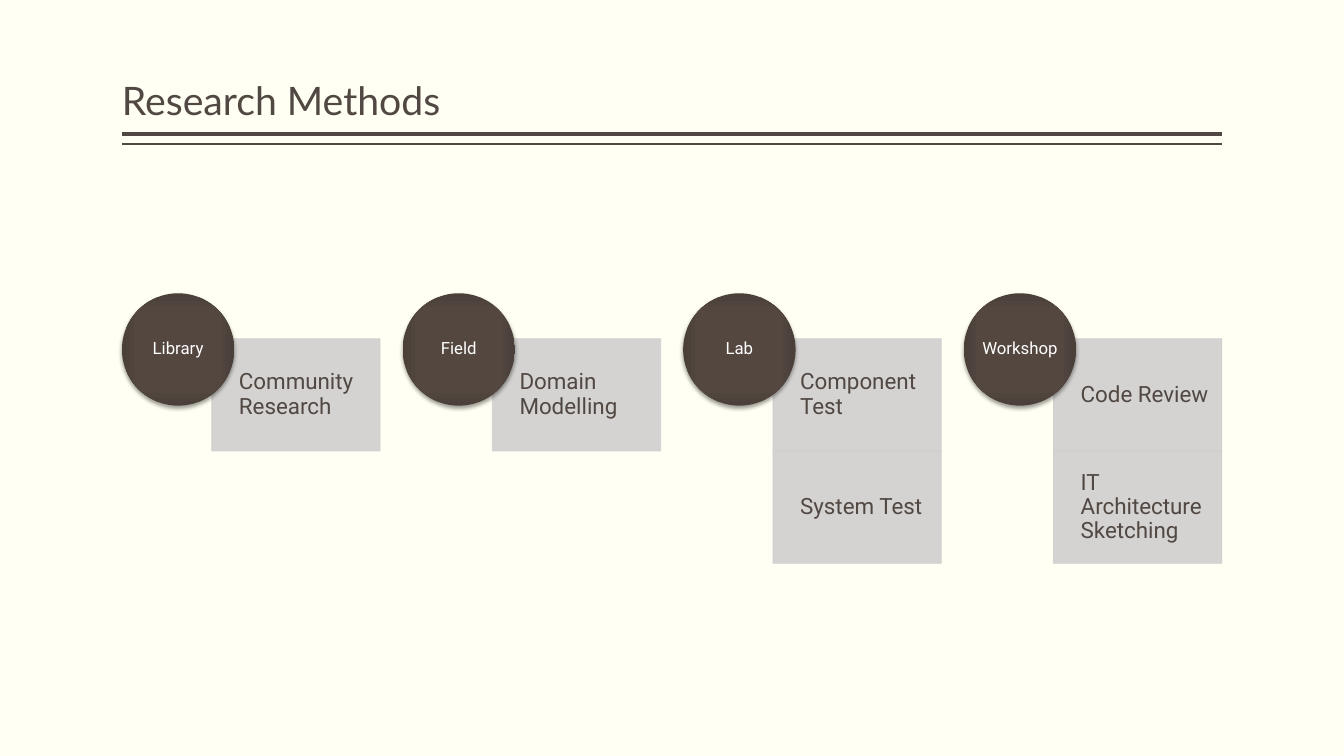
from lxml import etree
from pptx import Presentation
from pptx import util as u
from pptx.dml import color
from pptx.enum import shapes, text
from pptx.oxml import ns, parse_xml

WIDTH, HEIGHT = 13.33, 7.5
MARGIN = 1.21
COLUMN_STEP = 2.783
CIRCLE_TOP = 2.91
CELL = 1.115
BOX_LEFT, BOX_TOP, BOX_WIDTH = 0.89, 3.36, 1.67
INK, PAPER, GREY, WHITE = "514843", "FFFFF3", "D0CFCF", "FFFFFF"

METHODS = [
    ("Library", ["Community Research"]),
    ("Field", ["Domain Modelling"]),
    ("Lab", ["Component Test", "System Test"]),
    ("Workshop", ["Code Review", "IT Architecture Sketching"]),
]
GRADIENT_STOPS = [(0, "544740"), (71, "534740"), (100, "4A3F39")]


def paint(color_format, value):
    color_format.rgb = color.RGBColor.from_string(value)


def fill_solid(fill, value, opacity=100):
    fill.solid()
    paint(fill.fore_color, value)
    if opacity < 100:
        node = fill._xPr.find(".//" + ns.qn("a:srgbClr"))
        etree.SubElement(node, ns.qn("a:alpha"), val=str(opacity * 1000))


def write(shape, words, font, size, value, align, anchor, insets):
    frame = shape.text_frame
    frame.word_wrap = True
    frame.auto_size = text.MSO_AUTO_SIZE.NONE
    frame.vertical_anchor = anchor
    (frame.margin_left, frame.margin_top,
     frame.margin_right, frame.margin_bottom) = map(u.Inches, insets)
    paragraph = frame.paragraphs[0]
    paragraph.alignment = align
    paragraph.line_spacing = 0.9
    run = paragraph.add_run()
    run.text = words
    run.font.name = font
    run.font.size = u.Pt(size)
    paint(run.font.color, value)


def add_shape(slide, kind, left, top, width, height):
    shape = slide.shapes.add_shape(kind, *map(u.Inches, (left, top, width, height)))
    shape.shadow.inherit = False
    return shape


def add_title(slide, words):
    title = slide.shapes.title
    title.left, title.top = u.Inches(MARGIN), u.Inches(0.08)
    title.width, title.height = u.Inches(WIDTH - 2 * MARGIN), u.Inches(1.2)
    write(title, words, "Lato", 28, INK, text.PP_ALIGN.LEFT,
          text.MSO_ANCHOR.BOTTOM, (0, 0.05, 0, 0.05))


def add_rule(slide, top, weight):
    rule = slide.shapes.add_connector(
        shapes.MSO_CONNECTOR.STRAIGHT,
        *map(u.Inches, (MARGIN, top, WIDTH - MARGIN, top)))
    rule.line.width = u.Pt(weight)
    fill_solid(rule.line.fill, INK)
    etree.SubElement(rule._element.spPr, ns.qn("a:effectLst"))


def add_box(slide, left, top, words):
    box = add_shape(slide, shapes.MSO_SHAPE.RECTANGLE, left, top, BOX_WIDTH, CELL)
    fill_solid(box.fill, GREY, 90)
    box.line.width = u.Pt(0.5)
    fill_solid(box.line.fill, GREY, 90)
    write(box, words, "Roboto", 16, INK, text.PP_ALIGN.LEFT,
          text.MSO_ANCHOR.MIDDLE, (0.27, 0.12, 0.12, 0.12))


def add_circle(slide, left, words):
    circle = add_shape(slide, shapes.MSO_SHAPE.OVAL, left, CIRCLE_TOP, CELL, CELL)
    circle.line.fill.background()
    properties = circle._element.spPr
    stops = "".join(
        f'<a:gs pos="{position * 1000}"><a:srgbClr val="{value}"/></a:gs>'
        for position, value in GRADIENT_STOPS)
    gradient = parse_xml(
        f'<a:gradFill {ns.nsdecls("a")} rotWithShape="1"><a:gsLst>{stops}</a:gsLst>'
        '<a:path path="rect"><a:fillToRect l="50000" t="50000" r="50000" b="50000"/>'
        '</a:path></a:gradFill>')
    properties.find(ns.qn("a:prstGeom")).addnext(gradient)
    shadow = parse_xml(
        f'<a:outerShdw {ns.nsdecls("a")} blurRad="{u.Pt(3.1)}" dist="{u.Pt(2)}" '
        'dir="5400000" rotWithShape="0"><a:srgbClr val="000000">'
        '<a:alpha val="38000"/></a:srgbClr></a:outerShdw>')
    properties.find(ns.qn("a:effectLst")).append(shadow)
    write(circle, words, "Roboto", 12, WHITE, text.PP_ALIGN.CENTER,
          text.MSO_ANCHOR.MIDDLE, (0, 0, 0, 0))


def main():
    presentation = Presentation()
    presentation.slide_width = u.Inches(WIDTH)
    presentation.slide_height = u.Inches(HEIGHT)
    slide = presentation.slides.add_slide(presentation.slide_layouts[5])
    fill_solid(slide.background.fill, PAPER)
    add_rule(slide, 1.33, 3)
    add_rule(slide, 1.43, 1)
    add_title(slide, "Research Methods")
    for column, (method, activities) in enumerate(METHODS):
        left = MARGIN + column * COLUMN_STEP
        for row, activity in enumerate(activities):
            add_box(slide, left + BOX_LEFT, BOX_TOP + row * CELL, activity)
        add_circle(slide, left, method)
    presentation.save("out.pptx")


if __name__ == "__main__":
    main()
